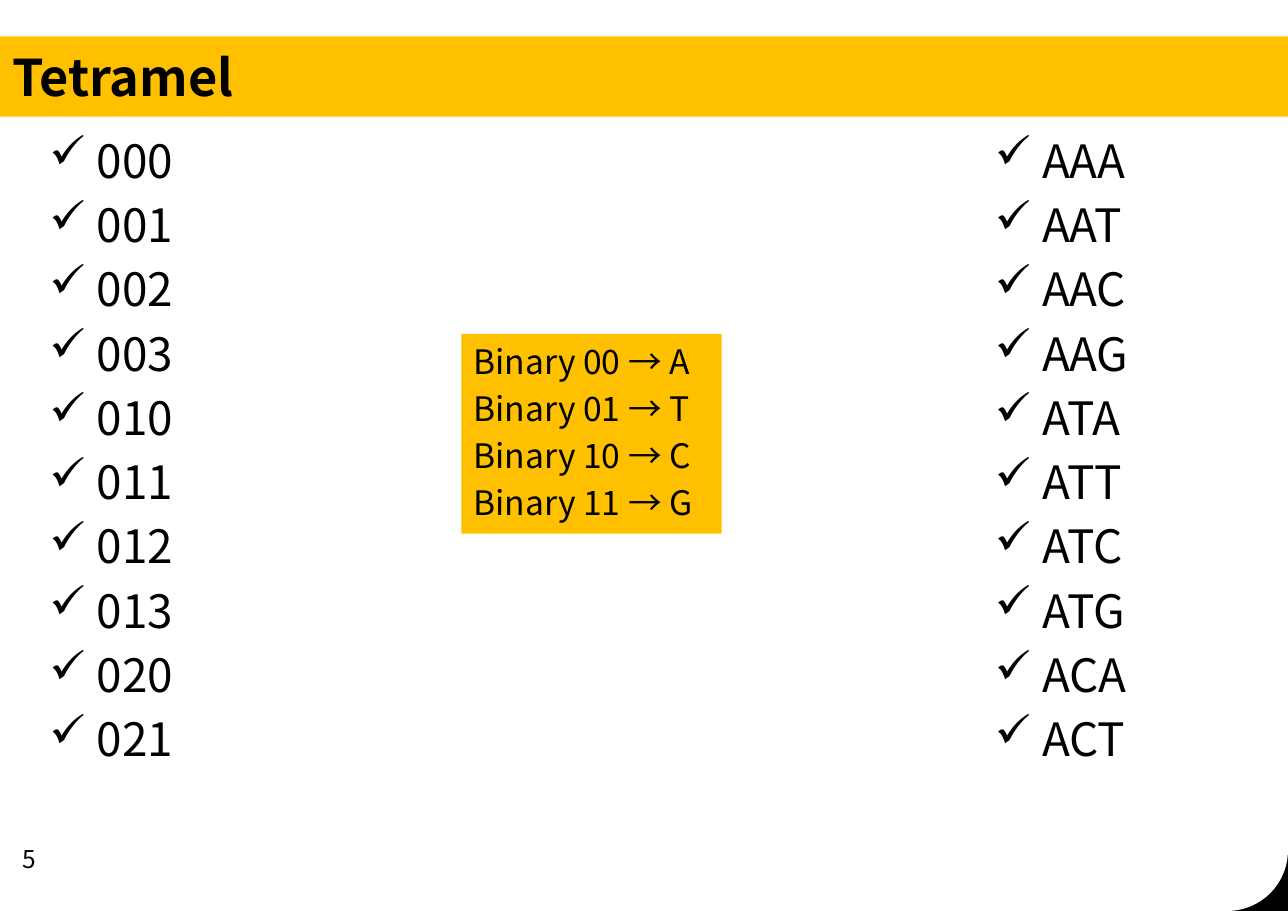
from itertools import islice, product

from lxml import etree
from pptx import Presentation
from pptx.dml.color import RGBColor
from pptx.enum.shapes import MSO_SHAPE
from pptx.enum.text import MSO_ANCHOR, PP_ALIGN
from pptx.oxml.ns import qn
from pptx.util import Cm, Pt

RECTANGLE, PIE = MSO_SHAPE.RECTANGLE, MSO_SHAPE.PIE
TOP, MIDDLE = MSO_ANCHOR.TOP, MSO_ANCHOR.MIDDLE
LEFT = PP_ALIGN.LEFT

FONT = "Noto Sans CJK KR"
COLORS = {"amber": "FFC000", "black": "000000", "white": "FFFFFF"}
HANGING_INDENT = Cm(1.09)
BASES = "ATCG"


class SlideBuilder:
    def __init__(self, slide):
        self.slide = slide

    def add_shape(self, kind, left, top, width, height, color):
        shape = self.slide.shapes.add_shape(
            kind, Cm(left), Cm(top), Cm(width), Cm(height))
        shape.shadow.inherit = False
        shape.fill.solid()
        shape.fill.fore_color.rgb = RGBColor.from_string(COLORS[color])
        shape.line.fill.background()
        return shape

    def add_text_box(self, left, top, width, height):
        return self.slide.shapes.add_textbox(
            Cm(left), Cm(top), Cm(width), Cm(height))

    def set_text(self, shape, lines, size, bold=False, anchor=TOP):
        frame = shape.text_frame
        frame.word_wrap = True
        frame.vertical_anchor = anchor
        frame.margin_left = frame.margin_right = Cm(0.28)
        frame.margin_top = frame.margin_bottom = Cm(0.15)
        frame.text = "\n".join(lines)
        for paragraph in frame.paragraphs:
            paragraph.alignment = LEFT
            font = paragraph.font
            font.name, font.size, font.bold = FONT, Pt(size), bold
            font.color.rgb = RGBColor.from_string(COLORS["black"])

    def set_list(self, shape, lines, size, bullet=None):
        self.set_text(shape, lines, size)
        for paragraph in shape.text_frame.paragraphs:
            paragraph.space_before = Pt(0)
            properties = paragraph._p.get_or_add_pPr()
            properties.set("marL", str(int(HANGING_INDENT)))
            properties.set("indent", str(-int(HANGING_INDENT)))
            # Space before as a share of the line
            spacing = properties.find(qn("a:spcBef"))
            spacing.clear()
            etree.SubElement(spacing, qn("a:spcPct"), val="20000")
            if bullet:
                mark = etree.Element(qn("a:buChar"), char=bullet)
                properties.find(qn("a:defRPr")).addprevious(mark)


def main():
    presentation = Presentation()
    presentation.slide_width, presentation.slide_height = Cm(29.7), Cm(21)
    slide = presentation.slides.add_slide(presentation.slide_layouts[6])
    builder = SlideBuilder(slide)

    # Page curl in the bottom right corner
    builder.add_shape(RECTANGLE, 28.3, 19.6, 1.4, 1.4, "black")
    curl = builder.add_shape(PIE, 26.9, 18.2, 2.8, 2.8, "white")
    curl.adjustments[0] = 0
    curl.adjustments[1] = 54  # quarter turn

    # Title band
    title = builder.add_shape(RECTANGLE, 0, 0.84, 29.7, 1.85, "amber")
    builder.set_text(title, ["Tetramel"], 33, bold=True, anchor=MIDDLE)

    # Numbers in base four and their letter codes
    numbers = ["".join(digits)
               for digits in islice(product("0123", repeat=3), 10)]
    codes = ["".join(BASES[int(digit)] for digit in number)
             for number in numbers]
    for left, width, lines in ((0.86, 6.6, numbers), (22.66, 6.2, codes)):
        column = builder.add_text_box(left, 2.9, width, 16.61)
        builder.set_list(column, lines, 30, bullet="✓")

    # Page number
    builder.set_text(builder.add_text_box(0.25, 19.3, 2.8, 0.89), ["5"], 16)

    # Key from binary to letter
    key = builder.add_shape(RECTANGLE, 10.64, 7.7, 6, 4.6, "amber")
    key_lines = [f"Binary {value:02b} → {base}"
                 for value, base in enumerate(BASES)]
    builder.set_list(key, key_lines, 22)

    presentation.save("out.pptx")


if __name__ == "__main__":
    main()
